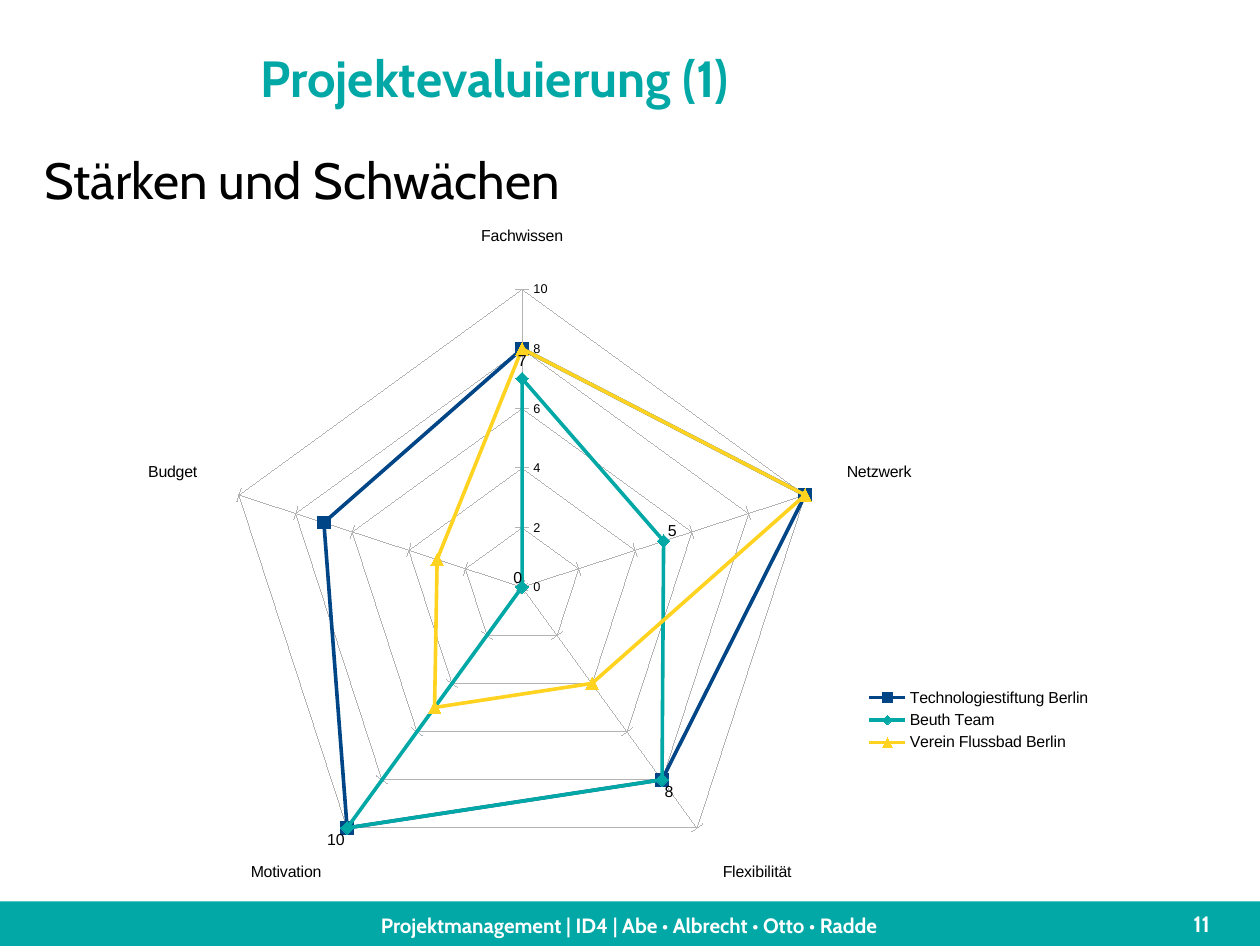
"""Build the project evaluation slide with a radar chart of strengths and weaknesses."""
from lxml import etree
from pptx import Presentation
from pptx.chart.data import CategoryChartData
from pptx.dml.color import RGBColor
from pptx.enum.chart import XL_CHART_TYPE as ChartType, XL_LEGEND_POSITION as LegendPosition
from pptx.enum.chart import XL_MARKER_STYLE as Marker, XL_TICK_MARK as Tick
from pptx.enum.shapes import MSO_SHAPE as Preset
from pptx.enum.text import MSO_ANCHOR as Anchor, MSO_AUTO_SIZE as AutoSize, PP_ALIGN as Align
from pptx.oxml.ns import qn
from pptx.util import Pt

TEAL = RGBColor(0x02, 0xA8, 0xA6)
NAVY = RGBColor(0x00, 0x45, 0x86)
YELLOW = RGBColor(0xFF, 0xD3, 0x20)
GREY = RGBColor(0xB3, 0xB3, 0xB3)
BLACK = RGBColor(0, 0, 0)
WHITE = RGBColor(255, 255, 255)
WIDTH, HEIGHT = 793.44, 595.44
BAND_TOP, BAND_HEIGHT = 567.36, 30.24


def write(shape, box, text, size, color, bold=True, align=Align.CENTER, anchor=Anchor.MIDDLE):
    shape.left, shape.top, shape.width, shape.height = map(Pt, box)
    frame = shape.text_frame
    frame_format = {
        "text": text, "word_wrap": True, "auto_size": AutoSize.NONE, "vertical_anchor": anchor,
        "margin_left": 0, "margin_right": 0, "margin_top": 0, "margin_bottom": 0,
    }
    for name, value in frame_format.items():
        setattr(frame, name, value)
    paragraph = frame.paragraphs[0]
    paragraph.alignment = align
    for name, value in {"name": "Cabin", "size": Pt(size), "bold": bold}.items():
        setattr(paragraph.font, name, value)
    paragraph.font.color.rgb = color


def add_layout(parent, index, values):
    for old in parent.findall(qn("c:layout")):
        parent.remove(old)
    layout = etree.Element(qn("c:layout"))
    manual = etree.SubElement(layout, qn("c:manualLayout"))
    for name, value in values.items():
        etree.SubElement(manual, qn("c:" + name)).set("val", str(value))
    parent.insert(index, layout)


presentation = Presentation()
presentation.slide_width, presentation.slide_height = Pt(WIDTH), Pt(HEIGHT)
slide = presentation.slides.add_slide(presentation.slide_layouts[5])
shapes = slide.shapes

band = shapes.add_shape(Preset.RECTANGLE, 0, Pt(BAND_TOP), Pt(WIDTH), Pt(BAND_HEIGHT))
band.shadow.inherit = False
band.fill.solid()
band.fill.fore_color.rgb = TEAL
band.line.fill.background()

write(shapes.title, (28.08, 16.6, 566.64, 51.12), "Projektevaluierung (1)", 32, TEAL,
      anchor=Anchor.BOTTOM)

text_boxes = [
    ((28.08, 93.6, 736.56, 42), "Stärken und Schwächen", 32, BLACK,
     {"bold": False, "align": Align.LEFT, "anchor": Anchor.TOP}),
    ((72, BAND_TOP, 648, BAND_HEIGHT),
     "Projektmanagement | ID4 | Abe • Albrecht • Otto • Radde", 13, WHITE, {}),
    ((720, BAND_TOP, 73.44, 28.08), "11", 14, WHITE, {}),
]
for box, text, size, color, options in text_boxes:
    write(shapes.add_textbox(0, 0, 0, 0), box, text, size, color, **options)

ratings = [
    ("Technologiestiftung Berlin", (8, 10, 8, 10, 7), NAVY, Marker.SQUARE),
    ("Beuth Team", (7, 5, 8, 10, 0), TEAL, Marker.DIAMOND),
    ("Verein Flussbad Berlin", (8, 10, 4, 5, 3), YELLOW, Marker.TRIANGLE),
]
chart_data = CategoryChartData()
chart_data.categories = ["Fachwissen", "Netzwerk", "Flexibilität", "Motivation", "Budget"]
for name, values, color, marker in ratings:
    chart_data.add_series(name, values)
chart = shapes.add_chart(ChartType.RADAR_MARKERS, Pt(71.2), Pt(134.5), Pt(648), Pt(435.6),
                         chart_data).chart
chart.has_title = False
chart.plots[0].vary_by_categories = False

for series, (name, values, color, marker) in zip(chart.plots[0].series, ratings):
    series.smooth = False
    series.format.line.color.rgb = color
    series.format.line.width = Pt(2.27)
    series.marker.style, series.marker.size = marker, 8
    series.marker.format.fill.solid()
    series.marker.format.fill.fore_color.rgb = color
    series.marker.format.line.color.rgb = color
team_labels = chart.plots[0].series[1].data_labels
team_labels.show_value = True

category_axis, value_axis = chart.category_axis, chart.value_axis
for name, value in {"minimum_scale": 0, "maximum_scale": 10, "major_unit": 2}.items():
    setattr(value_axis, name, value)
for axis, tick in ((category_axis, Tick.OUTSIDE), (value_axis, Tick.CROSS)):
    axis.major_tick_mark, axis.minor_tick_mark = tick, Tick.NONE
    axis.has_major_gridlines = True
    for line in (axis.format.line, axis.major_gridlines.format.line):
        line.color.rgb = GREY
        line.width = Pt(0.01)

chart.has_legend = True
chart.legend.position = LegendPosition.RIGHT
chart.legend.include_in_layout = False
fonts = [(chart.font, 10), (category_axis.tick_labels.font, 10),
         (value_axis.tick_labels.font, 8), (chart.legend.font, 10), (team_labels.font, 10)]
for font, size in fonts:
    font.name, font.size, font.bold = "Arial", Pt(size), False
    font.color.rgb = BLACK

plot_area = chart._chartSpace.find(".//" + qn("c:plotArea"))
add_layout(plot_area, 0, {"layoutTarget": "outer", "xMode": "edge", "yMode": "edge",
                          "x": 0.03, "y": 0.02, "w": 0.75, "h": 0.95})
legend = chart._chartSpace.find(".//" + qn("c:legend"))
add_layout(legend, 1, {"xMode": "edge", "yMode": "edge", "x": 0.73, "y": 0.68})

presentation.save("out.pptx")
